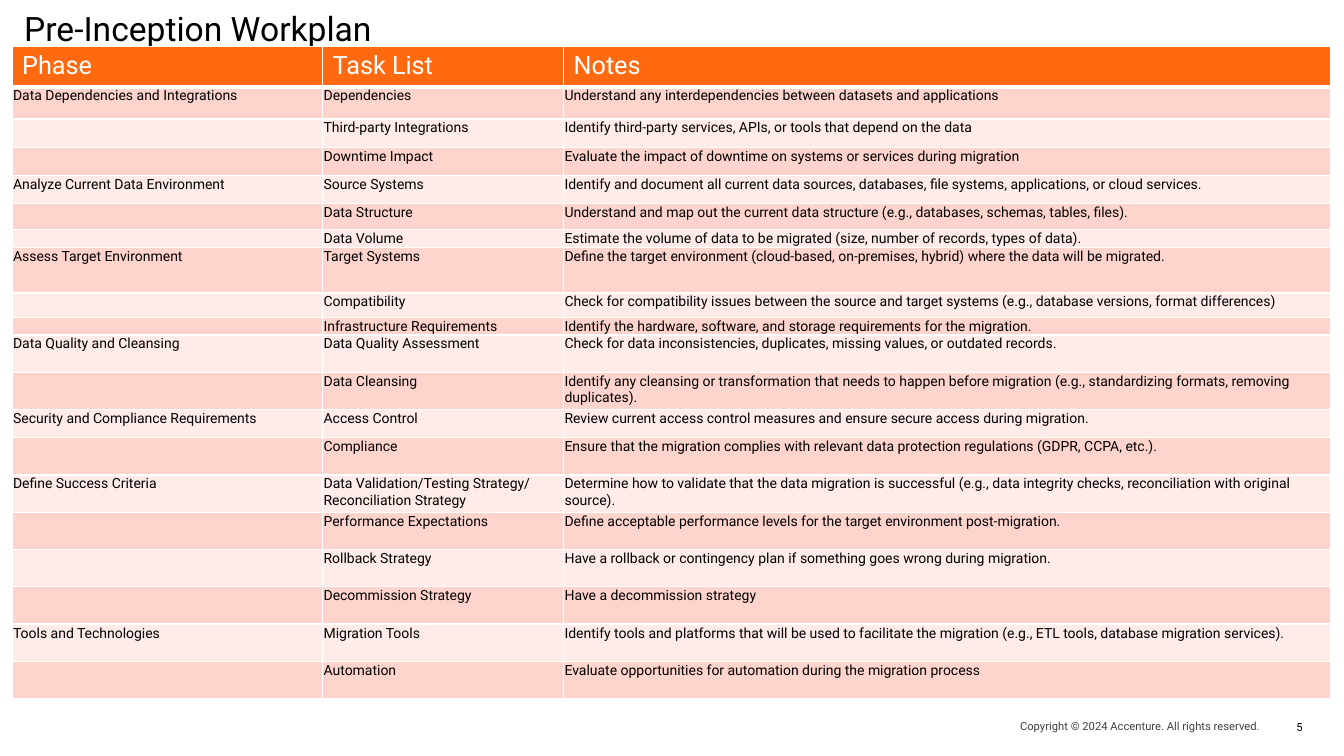
from dataclasses import dataclass

from lxml import etree
from pptx import Presentation
from pptx.dml.color import RGBColor
from pptx.enum.text import MSO_ANCHOR, PP_ALIGN
from pptx.oxml.ns import qn
from pptx.util import Pt

PX = 9144
LEFT, RIGHT = PP_ALIGN.LEFT, PP_ALIGN.RIGHT
MIDDLE, BOTTOM = MSO_ANCHOR.MIDDLE, MSO_ANCHOR.BOTTOM
TITLE_ONLY = 5


@dataclass(frozen=True)
class Theme:
    """Colours, type sizes and line widths in points."""
    font: str = "Roboto"
    ink: str = "000000"
    soft: str = "404040"
    white: str = "FFFFFF"
    head: str = "FF6A10"
    bands: tuple = ("FFD4CC", "FFEBE7")
    title: int = 24
    label: int = 18
    body: int = 10
    small: int = 8
    thin: int = 1
    thick: int = 3


HEADS = ("Phase", "Task List", "Notes")
COLS = (308, 239, 761)
ROWS = (29, 32, 28, 28, 28, 26, 12, 45, 24, 12, 37, 37, 28) + (37,) * 7
PLAN = {
    "Data Dependencies and Integrations": (
        ("Dependencies", "Understand any interdependencies between datasets and applications"),
        ("Third-party Integrations", "Identify third-party services, APIs, or tools that depend on the data"),
        ("Downtime Impact", "Evaluate the impact of downtime on systems or services during migration"),
    ),
    "Analyze Current Data Environment": (
        ("Source Systems", "Identify and document all current data sources, databases, file systems, "
         "applications, or cloud services."),
        ("Data Structure", "Understand and map out the current data structure (e.g., databases, schemas, "
         "tables, files)."),
        ("Data Volume", "Estimate the volume of data to be migrated (size, number of records, types of data)."),
    ),
    "Assess Target Environment": (
        ("Target Systems", "Define the target environment (cloud-based, on-premises, hybrid) where the data "
         "will be migrated."),
        ("Compatibility", "Check for compatibility issues between the source and target systems (e.g., "
         "database versions, format differences)"),
        ("Infrastructure Requirements", "Identify the hardware, software, and storage requirements for the "
         "migration."),
    ),
    "Data Quality and Cleansing": (
        ("Data Quality Assessment", "Check for data inconsistencies, duplicates, missing values, or outdated "
         "records."),
        ("Data Cleansing", "Identify any cleansing or transformation that needs to happen before migration "
         "(e.g., standardizing formats, removing duplicates)."),
    ),
    "Security and Compliance Requirements": (
        ("Access Control", "Review current access control measures and ensure secure access during migration."),
        ("Compliance", "Ensure that the migration complies with relevant data protection regulations (GDPR, "
         "CCPA, etc.)."),
    ),
    "Define Success Criteria": (
        ("Data Validation/Testing Strategy/ Reconciliation Strategy", "Determine how to validate that the "
         "data migration is successful (e.g., data integrity checks, reconciliation with original source)."),
        ("Performance Expectations", "Define acceptable performance levels for the target environment "
         "post-migration."),
        ("Rollback Strategy", "Have a rollback or contingency plan if something goes wrong during migration."),
        ("Decommission Strategy", "Have a decommission strategy"),
    ),
    "Tools and Technologies": (
        ("Migration Tools", "Identify tools and platforms that will be used to facilitate the migration "
         "(e.g., ETL tools, database migration services)."),
        ("Automation", "Evaluate opportunities for automation during the migration process"),
    ),
}


class Deck:
    """Draws styled elements on the current slide."""

    def __init__(self, theme, wide, high):
        self.theme = theme
        self.prs = Presentation()
        self.prs.slide_width, self.prs.slide_height = wide * PX, high * PX
        self.slide = self.prs.slides.add_slide(self.prs.slide_layouts[TITLE_ONLY])

    def apply(self, item, **form):
        for key, value in form.items():
            setattr(item, key, value)

    def words(self, frame, text, size, color, align=LEFT):
        para = frame.paragraphs[0]
        para.alignment = align
        if text:
            run = para.add_run()
            run.text = text
            self.apply(run.font, name=self.theme.font, size=Pt(size), bold=False)
            run.font.color.rgb = RGBColor.from_string(color)
        else:
            etree.SubElement(para._p, qn("a:endParaRPr"), sz=str(size * 100))
        return para

    def inset(self, item, left, top, right, bottom):
        self.apply(item, margin_left=left * PX, margin_top=top * PX,
                   margin_right=right * PX, margin_bottom=bottom * PX)

    def title(self, text, x, y, w, h):
        shape = self.slide.shapes.title
        self.apply(shape, left=x * PX, top=y * PX, width=w * PX, height=h * PX)
        frame = shape.text_frame
        self.inset(frame, 0, 0, 0, 0)
        self.apply(frame, word_wrap=True, vertical_anchor=BOTTOM)
        para = self.words(frame, text, self.theme.title, self.theme.ink)
        para.line_spacing = Pt(self.theme.title)

    def text(self, text, x, y, w, h, color):
        frame = self.slide.shapes.add_textbox(x * PX, y * PX, w * PX, h * PX).text_frame
        self.inset(frame, 0, 0, 0, 0)
        self.apply(frame, word_wrap=True, vertical_anchor=MIDDLE)
        self.words(frame, text, self.theme.small, color, RIGHT)

    def edges(self, cell, base):
        props = cell._tc.get_or_add_tcPr()
        for side in "LRTB":
            width = base if side == "B" else self.theme.thin
            line = etree.SubElement(props, qn(f"a:ln{side}"), w=str(int(Pt(width))))
            fill = etree.SubElement(line, qn("a:solidFill"))
            etree.SubElement(fill, qn("a:srgbClr"), val=self.theme.white)

    def cell(self, cell, text, row):
        look = self.theme
        if row:
            size, color, fill, base = look.body, look.ink, look.bands[(row - 1) % 2], look.thin
            self.inset(cell, 1, 1, 1, 0)
        else:
            size, color, fill, base = look.label, look.white, look.head, look.thick
            self.inset(cell, 10, 5, 10, 5)
        self.edges(cell, base)
        cell.fill.solid()
        cell.fill.fore_color.rgb = RGBColor.from_string(fill)
        self.words(cell.text_frame, text, size, color)

    def table(self, data, cols, rows, x, y):
        grid = self.slide.shapes.add_table(
            len(rows), len(cols), x * PX, y * PX, sum(cols) * PX, sum(rows) * PX).table
        for col, wide in zip(grid.columns, cols):
            col.width = wide * PX
        for row, high in zip(grid.rows, rows):
            row.height = high * PX
        for r, line in enumerate(data):
            for c, text in enumerate(line):
                self.cell(grid.cell(r, c), text, r)


def main():
    """Build and save the workplan slide."""
    look = Theme()
    deck = Deck(look, 1333, 750)
    data = [HEADS]
    for phase, tasks in PLAN.items():
        for i, (task, note) in enumerate(tasks):
            data.append(("" if i else phase, task, note))
    deck.text("Copyright © 2024 Accenture. All rights reserved.", 800, 709, 450, 22, look.soft)
    deck.text("5", 1256, 710, 36, 22, look.ink)
    deck.table(data, COLS, ROWS, 12, 46)
    deck.title("Pre-Inception Workplan", 24, 13, 1250, 35)
    deck.prs.save("out.pptx")


if __name__ == "__main__":
    main()
